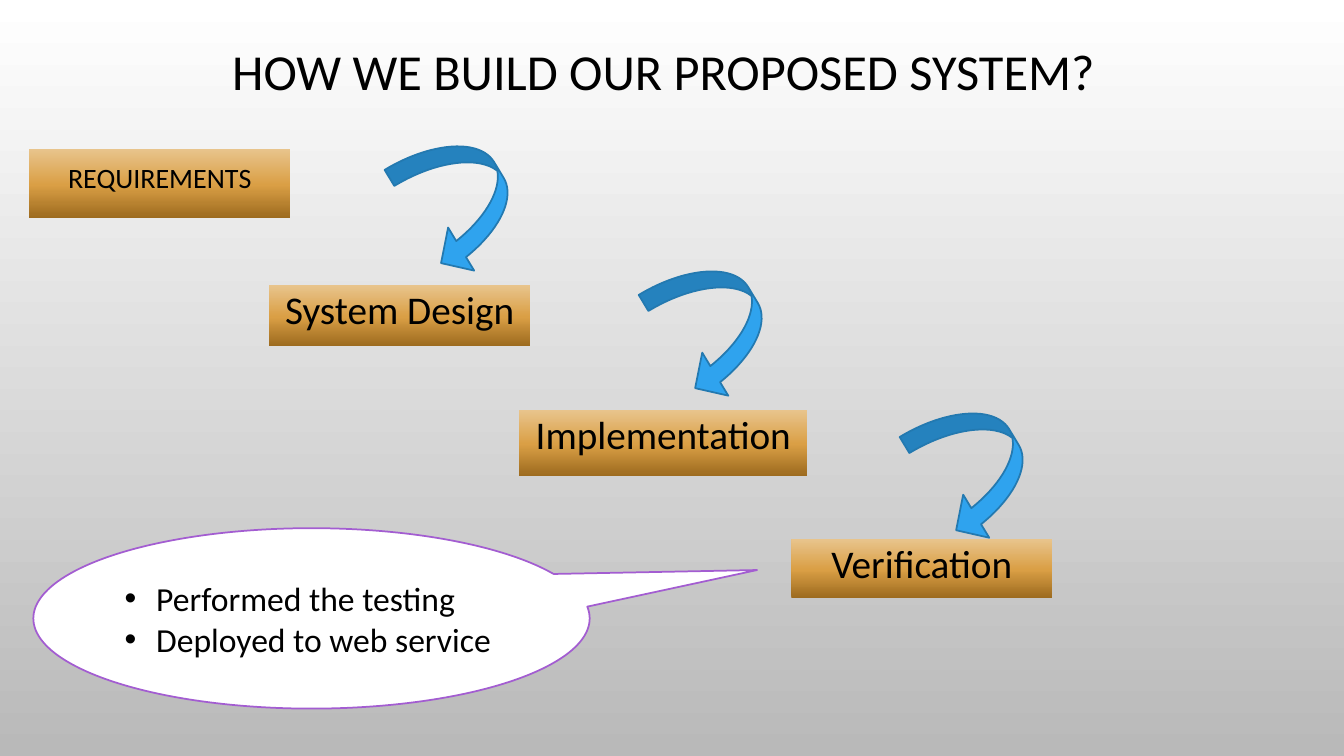
from copy import deepcopy

from pptx import Presentation
from pptx.dml.color import RGBColor
from pptx.enum.shapes import MSO_SHAPE
from pptx.enum.text import MSO_ANCHOR, PP_ALIGN
from pptx.oxml.ns import qn
from pptx.util import Pt

BLACK = RGBColor(0x00, 0x00, 0x00)
WHITE = RGBColor(0xFF, 0xFF, 0xFF)
GREY = RGBColor(0xB9, 0xB9, 0xB9)
DARK_GOLD = RGBColor(0x9D, 0x6B, 0x1F)
GOLD = RGBColor(0xDA, 0x9F, 0x45)
LIGHT_GOLD = RGBColor(0xE8, 0xC4, 0x8C)
BLUE = RGBColor(0x2F, 0xA3, 0xEE)
DARK_BLUE = RGBColor(0x23, 0x79, 0xB0)
PURPLE = RGBColor(0xA3, 0x5D, 0xD1)

# Text, font size, line spacing, box (left, top, width, height)
STEPS = [
    ("REQUIREMENTS", 20, 1.2, (20.9, 106.6, 186.5, 49)),
    ("System Design", 28, 0.9, (192.2, 203.8, 186.5, 43.2)),
    ("Implementation", 28, 0.9, (370.8, 293, 205.9, 46.8)),
    ("Verification", 28, 0.9, (565.2, 385.2, 186.5, 41.8)),
]
ARROW_CORNERS = [(281.5, 109.4), (463, 198.7), (649.4, 300.2)]
ARROW_SIZE = (95.8, 69.8)
DEPLOYMENT_NOTES = ["Performed the testing", "Deployed to web service"]


def place(shape, box):
    shape.left, shape.top, shape.width, shape.height = map(Pt, box)


def add_block(page, kind, box):
    block = page.shapes.add_shape(kind, *map(Pt, box))
    block.shadow.inherit = False
    return block


def outline(shape, colour):
    shape.line.color.rgb = colour
    shape.line.width = Pt(1.25)


def set_font(para, size):
    para.font.name = "Calibri"
    para.font.size = Pt(size)
    para.font.color.rgb = BLACK


def write_centred(shape, text, size, spacing):
    shape.text_frame.text = text
    para = shape.text_frame.paragraphs[0]
    para.alignment = PP_ALIGN.CENTER
    para.line_spacing = spacing
    set_font(para, size)


def set_gradient(fill, angle, stops):
    fill.gradient_angle = angle
    for stop, (position, colour) in zip(fill.gradient_stops, stops):
        stop.position = position
        stop.color.rgb = colour


def fill_background(page):
    fill = page.background.fill
    fill.gradient()
    set_gradient(fill, 270, [(0, WHITE), (1, GREY)])


def add_title(page, box):
    title = page.shapes.title
    place(title, box)
    title.text_frame.vertical_anchor = MSO_ANCHOR.MIDDLE
    write_centred(title, "HOW WE BUILD OUR PROPOSED SYSTEM?", 36, 0.9)


def add_step(page, text, size, spacing, box):
    step = add_block(page, MSO_SHAPE.RECTANGLE, box)
    step.line.fill.background()
    step.fill.gradient()
    # The default gradient has two stops; a third is needed
    stop_list = next(step._element.iter(qn("a:gsLst")))
    stop_list.append(deepcopy(stop_list[-1]))
    set_gradient(step.fill, 90, [(0, DARK_GOLD), (0.48, GOLD), (1, LIGHT_GOLD)])
    step.text_frame.vertical_anchor = MSO_ANCHOR.TOP
    write_centred(step, text, size, spacing)


def add_step_arrow(page, box):
    arrow = add_block(page, MSO_SHAPE.CURVED_DOWN_ARROW, box)
    arrow.rotation = 58.8
    for index, value in enumerate((0.192, 0.515, 0.25)):
        arrow.adjustments[index] = value
    arrow.fill.solid()
    arrow.fill.fore_color.rgb = BLUE
    outline(arrow, DARK_BLUE)


def add_bullet(para):
    properties = para._p.get_or_add_pPr()
    properties.set("marL", str(Pt(22.5)))
    properties.set("indent", str(-Pt(22.5)))
    font = properties.makeelement(qn("a:buFont"), {"typeface": "Arial"})
    bullet = properties.makeelement(qn("a:buChar"), {"char": "•"})
    properties.extend([font, bullet])


def add_callout(page, box):
    callout = add_block(page, MSO_SHAPE.OVAL_CALLOUT, box)
    callout.adjustments[0] = 0.801
    callout.adjustments[1] = -0.268
    callout.fill.solid()
    callout.fill.fore_color.rgb = WHITE
    outline(callout, PURPLE)
    frame = callout.text_frame
    frame.vertical_anchor = MSO_ANCHOR.MIDDLE
    frame.text = "\n".join(DEPLOYMENT_NOTES)
    for para in frame.paragraphs:
        para.alignment = PP_ALIGN.LEFT
        add_bullet(para)
        set_font(para, 24)


def build_process_slide(deck):
    page = deck.slides.add_slide(deck.slide_layouts[5])
    fill_background(page)
    add_title(page, (60, 18, 828, 70.5))
    # Descending steps and the arrows between them
    for step in STEPS:
        add_step(page, *step)
    for corner in ARROW_CORNERS:
        add_step_arrow(page, corner + ARROW_SIZE)
    # Callout pointing at the last step
    add_callout(page, (23.8, 377.3, 397.4, 128.9))


def main():
    deck = Presentation()
    deck.slide_width, deck.slide_height = Pt(960), Pt(540)
    build_process_slide(deck)
    deck.save("out.pptx")


if __name__ == "__main__":
    main()
